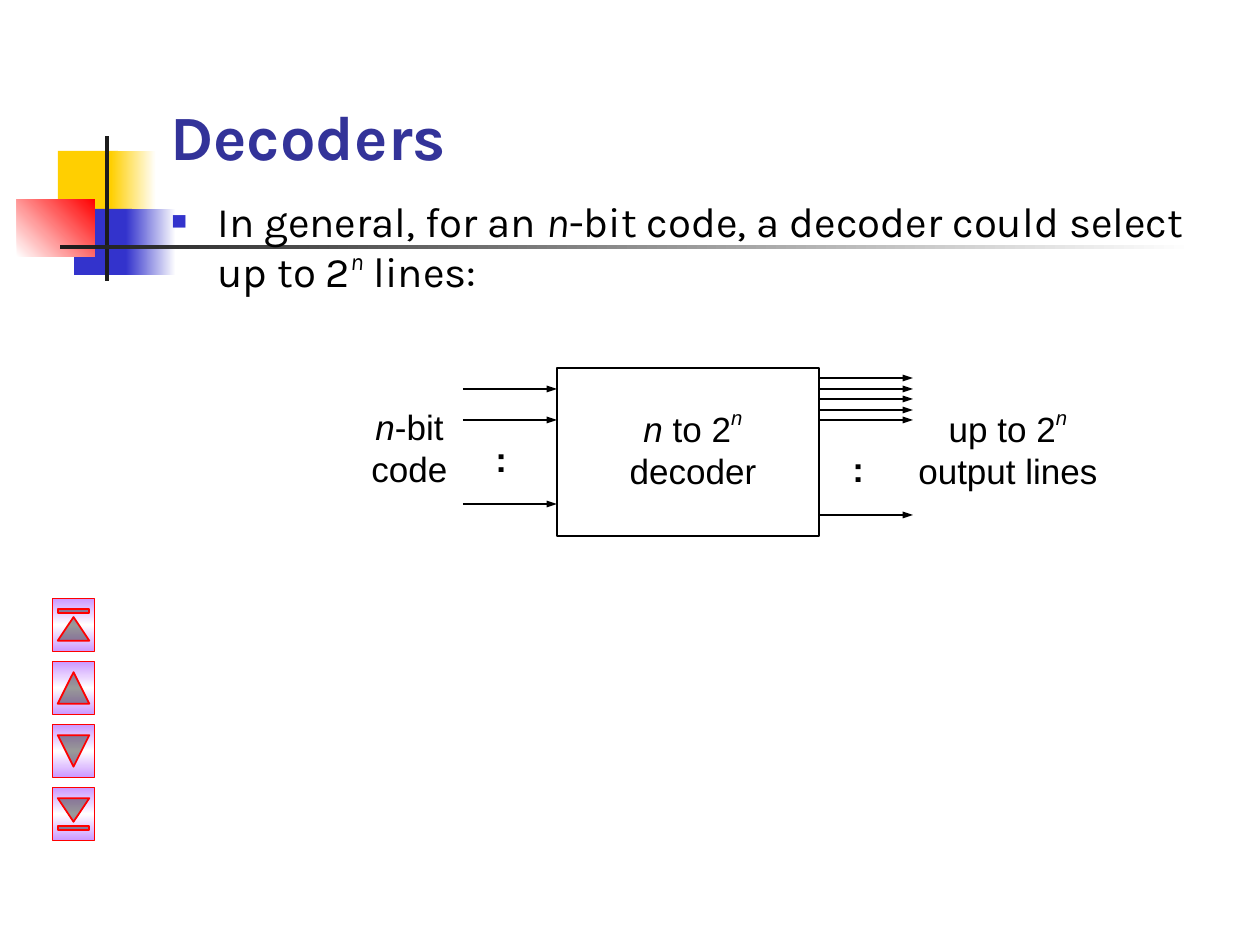
"""Build the slide on n-bit decoders with its block diagram and navigation buttons."""
import pptx
import pptx.dml.color
import pptx.enum.shapes
import pptx.enum.text
import pptx.oxml
import pptx.oxml.ns
import pptx.util

SHAPES = pptx.enum.shapes.MSO_SHAPE
ALIGN = pptx.enum.text.PP_ALIGN
ANCHOR = pptx.enum.text.MSO_ANCHOR
NAMESPACE = pptx.oxml.ns.nsdecls("a")
SCALE = 914400 / 126
BLACK = "000000"

ORNAMENTS = [
    ((58, 151, 60, 65), ["FFCF01"], 0),
    ((111, 151, 45, 65), ["FFCF01", "FFFFFF"], 0),
    ((74, 209, 58, 66), ["3333CC"], 0),
    ((126, 209, 50, 66), ["3333CC", "FFFFFF"], 0),
    ((17, 199, 78, 58), ["FFFFFF", "FF0000"], 315),
    ((105, 136, 4, 145), ["1C1C1C"], 0),
    ((60, 245, 1134, 4), ["1C1C1C", "FFFFFF"], 0),
]

# Each paragraph is a list of (text, italic, superscript percent).
TITLE = [[("Decoders", False, 0)]]
BODY = [[
    ("In general, for an ", False, 0), ("n", True, 0),
    ("-bit code, a decoder could select up to 2", False, 0),
    ("n", True, 40), (" lines:", False, 0),
]]
COLON = [[(":", False, 0)]]
LABELS = [
    ((336, 399, 147, 97), [[("n", True, 0), ("-bit", False, 0)], [("code", False, 0)]]),
    ((588, 399, 210, 100), [[("n", True, 0), (" to 2", False, 0), ("n", True, 50)],
                            [("decoder", False, 0)]]),
    ((903, 399, 210, 100), [[("up to 2", False, 0), ("n", True, 50)],
                            [("output lines", False, 0)]]),
]
COLON_BOXES = [(483, 431, 42, 55), (840, 441, 42, 55)]

DECODER = (557, 368, 262, 168)
ARROW_LENGTH = 94
INPUT_ROWS = [389, 420, 504]
OUTPUT_ROWS = [378, 389, 399, 410, 420, 515]

BUTTONS = [
    SHAPES.ACTION_BUTTON_BEGINNING,
    SHAPES.ACTION_BUTTON_BACK_OR_PREVIOUS,
    SHAPES.ACTION_BUTTON_FORWARD_OR_NEXT,
    SHAPES.ACTION_BUTTON_END,
]
BUTTON_BOX = (47, 604, 53, 42)
BUTTON_STEP = 63
BUTTON_COLORS = ["CC99FF", "FFFFFF", "CC99FF"]


def emu(*lengths):
    return [round(length * SCALE) for length in lengths]


def rgb(color):
    return pptx.dml.color.RGBColor.from_string(color)


def set_line(line, color, points):
    line.color.rgb = rgb(color)
    line.width = pptx.util.Pt(points)


def set_fill(shape, colors, angle):
    if len(colors) == 1:
        shape.fill.solid()
        shape.fill.fore_color.rgb = rgb(colors[0])
        return
    stops = "".join(
        f'<a:gs pos="{round(100000 * index / (len(colors) - 1))}"><a:srgbClr val="{color}"/></a:gs>'
        for index, color in enumerate(colors))
    gradient = pptx.oxml.parse_xml(
        f'<a:gradFill {NAMESPACE} rotWithShape="0"><a:gsLst>{stops}</a:gsLst>'
        f'<a:lin ang="{angle * 60000}" scaled="0"/></a:gradFill>')
    shape._element.spPr.find(pptx.oxml.ns.qn("a:prstGeom")).addnext(gradient)


def add_shape(shapes, kind, box):
    shape = shapes.add_shape(kind, *emu(*box))
    shape.shadow.inherit = False
    return shape


def add_text(shapes, box, paragraphs, font, size, color=BLACK, bold=False,
             align=ALIGN.LEFT, anchor=ANCHOR.TOP):
    text_frame = shapes.add_textbox(*emu(*box)).text_frame
    text_frame.word_wrap = True
    text_frame.vertical_anchor = anchor
    for index, pieces in enumerate(paragraphs):
        paragraph = text_frame.add_paragraph() if index else text_frame.paragraphs[0]
        paragraph.alignment = align
        for text, italic, raised in pieces:
            run = paragraph.add_run()
            run.text = text
            run.font.name = font
            run.font.size = pptx.util.Pt(size)
            run.font.bold = bold
            run.font.italic = italic
            run.font.color.rgb = rgb(color)
            if raised:
                run.font._element.set("baseline", str(raised * 1000))
    return text_frame


def add_bullet(paragraph):
    properties = paragraph._p.get_or_add_pPr()
    properties.set("marL", str(emu(47)[0]))
    properties.set("indent", str(emu(-47)[0]))
    for markup in ('<a:buClr {}><a:srgbClr val="3333CC"/></a:buClr>',
                   '<a:buSzPct {} val="120000"/>',
                   '<a:buFont {} typeface="Arial"/>',
                   '<a:buChar {} char="▪"/>'):
        properties.append(pptx.oxml.parse_xml(markup.format(NAMESPACE)))


def add_arrow(shapes, left, row):
    arrow = shapes.add_connector(pptx.enum.shapes.MSO_CONNECTOR.STRAIGHT,
                                 *emu(left, row, left + ARROW_LENGTH, row))
    set_line(arrow.line, BLACK, 1.25)
    arrow.line._get_or_add_ln().append(pptx.oxml.parse_xml(
        f'<a:tailEnd {NAMESPACE} type="triangle" w="sm" len="med"/>'))
    arrow._element.spPr.append(pptx.oxml.parse_xml(f"<a:effectLst {NAMESPACE}/>"))


def add_diagram(slide):
    shapes = slide.shapes.add_group_shape().shapes
    decoder = add_shape(shapes, SHAPES.RECTANGLE, DECODER)
    decoder.fill.background()
    set_line(decoder.line, BLACK, 1.5)
    left, _, width, _ = DECODER
    for start, rows in ((left - ARROW_LENGTH, INPUT_ROWS), (left + width, OUTPUT_ROWS)):
        for row in rows:
            add_arrow(shapes, start, row)
    for box in COLON_BOXES:
        add_text(shapes, box, COLON, "Arial", 20, bold=True)
    for box, paragraphs in LABELS:
        add_text(shapes, box, paragraphs, "Arial", 20, align=ALIGN.CENTER)


def main():
    presentation = pptx.Presentation()
    presentation.slide_width, presentation.slide_height = emu(1260, 945)
    slide = presentation.slides.add_slide(presentation.slide_layouts[6])
    for box, colors, angle in ORNAMENTS:
        ornament = add_shape(slide.shapes, SHAPES.RECTANGLE, box)
        set_fill(ornament, colors, angle)
        ornament.line.fill.background()
    add_text(slide.shapes, (158, 21, 1071, 158), TITLE, "Karla", 36, "333399",
             bold=True, anchor=ANCHOR.BOTTOM)
    body = add_text(slide.shapes, (158, 189, 1071, 116), BODY, "Karla", 24)
    add_bullet(body.paragraphs[0])
    add_diagram(slide)
    left, top, width, height = BUTTON_BOX
    for index, kind in enumerate(BUTTONS):
        button = add_shape(slide.shapes, kind, (left, top + index * BUTTON_STEP, width, height))
        button.rotation = 90
        set_fill(button, BUTTON_COLORS, 90)
        set_line(button.line, "FF0000", 1)
    presentation.save("out.pptx")


if __name__ == "__main__":
    main()
